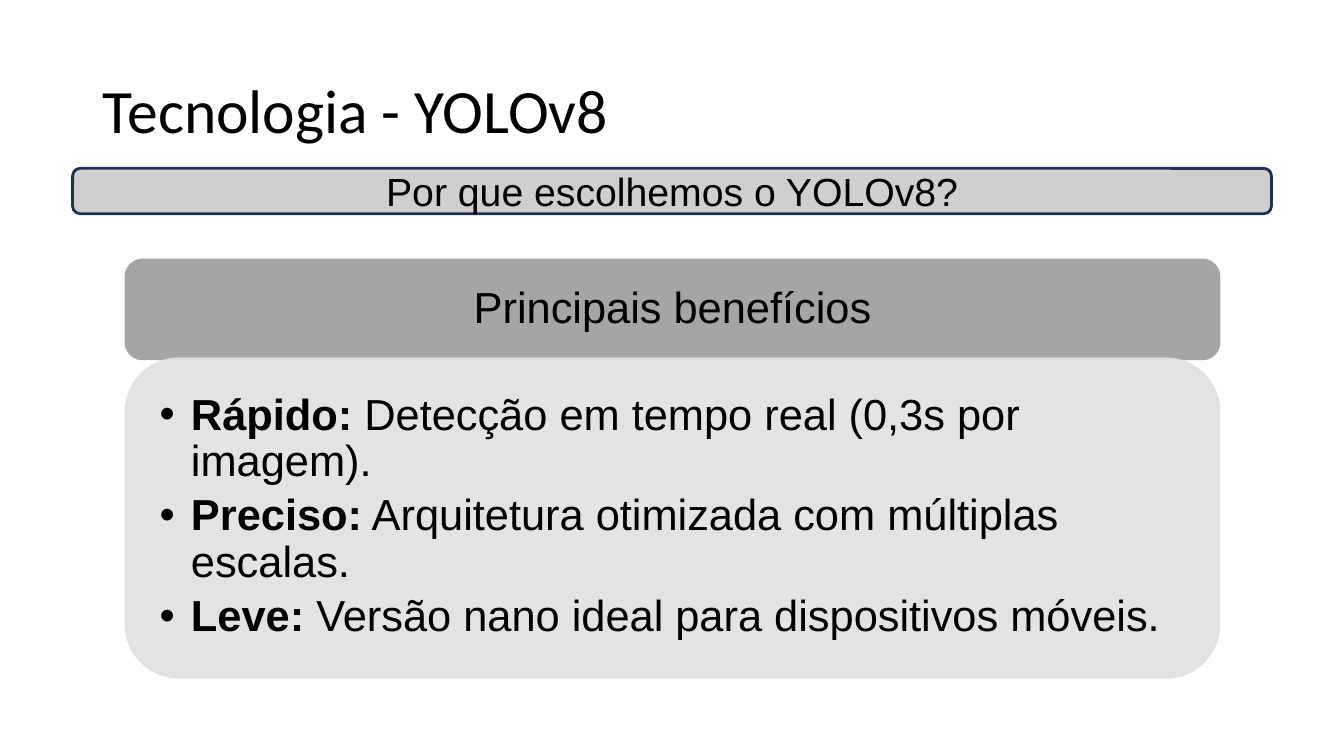
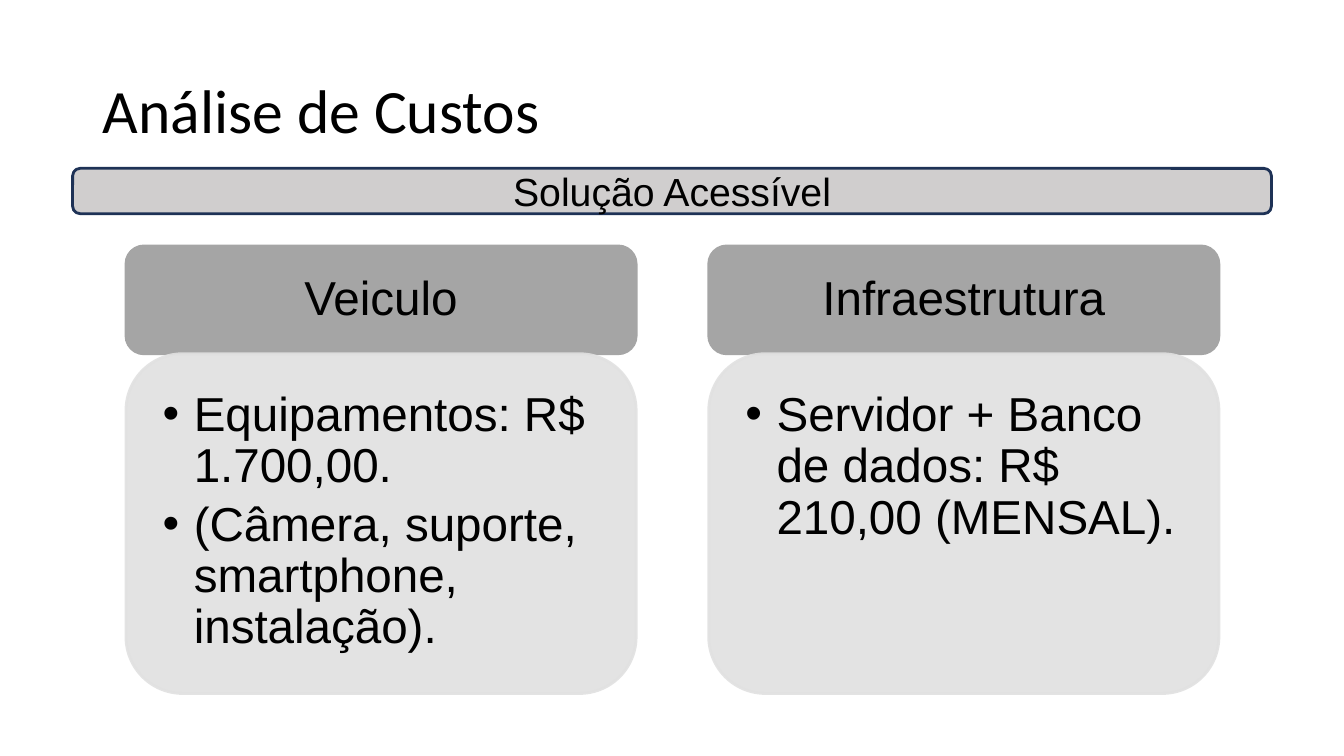
from lxml import etree
from pptx import Presentation
from pptx.dml.color import RGBColor
from pptx.enum import shapes, text
from pptx.oxml.ns import qn
from pptx.util import Inches, Pt

BLACK = RGBColor(0x00, 0x00, 0x00)
NAVY = RGBColor(0x1E, 0x32, 0x56)
BAND_GRAY = RGBColor(0xD0, 0xCE, 0xCE)
HEADER_GRAY = RGBColor(0xA5, 0xA5, 0xA5)
BODY_GRAY = RGBColor(0xE1, 0xE1, 0xE1)

TITLE_FONT, BODY_FONT = "Calibri", "Arial"
CARDS_LEFT, CARDS_WIDTH, CARD_GAP = 1.25, 10.84, 0.72
BULLET_INDENT = 0.31


def set_font(paragraph, name, size):
    paragraph.font.name = name
    paragraph.font.size = Pt(size)
    paragraph.font.color.rgb = BLACK


def set_opacity(color_format_parent, percent):
    """Make the solid fill below the given element partly see-through."""
    for color in color_format_parent.iter(qn("a:srgbClr")):
        etree.SubElement(color, qn("a:alpha")).set("val", str(percent * 1000))


def add_bullet(paragraph):
    properties = paragraph._p.get_or_add_pPr()
    properties.set("marL", str(Inches(BULLET_INDENT)))
    properties.set("indent", str(-Inches(BULLET_INDENT)))
    etree.SubElement(properties, qn("a:buFont")).set("typeface", "Arial")
    etree.SubElement(properties, qn("a:buChar")).set("char", "•")


def add_panel(slide, left, top, width, height, fill, outline):
    panel = slide.shapes.add_shape(
        shapes.MSO_SHAPE.ROUNDED_RECTANGLE,
        Inches(left), Inches(top), Inches(width), Inches(height))
    panel.shadow.inherit = False
    panel.fill.solid()
    panel.fill.fore_color.rgb = fill
    panel.line.color.rgb = outline
    panel.line.width = Pt(2)
    panel.text_frame.word_wrap = True
    return panel


def set_margins(frame, size, left, top, right, bottom):
    """Set the margins as multiples of the text size."""
    frame.margin_left, frame.margin_top = Pt(left * size), Pt(top * size)
    frame.margin_right, frame.margin_bottom = Pt(right * size), Pt(bottom * size)


def write_centered(panel, wording, size):
    panel.text_frame.vertical_anchor = text.MSO_ANCHOR.MIDDLE
    paragraph = panel.text_frame.paragraphs[0]
    paragraph.text = wording
    paragraph.alignment = text.PP_ALIGN.CENTER
    set_font(paragraph, BODY_FONT, size)
    return paragraph


def write_list(panel, items, size):
    """Write bullets from pairs of a bold lead and the remaining text."""
    frame = panel.text_frame
    frame.vertical_anchor = text.MSO_ANCHOR.TOP
    for index, (lead, rest) in enumerate(items):
        paragraph = frame.add_paragraph() if index else frame.paragraphs[0]
        paragraph.alignment = text.PP_ALIGN.LEFT
        paragraph.line_spacing = 0.9
        paragraph.space_after = Pt(round(0.15 * size))
        add_bullet(paragraph)
        set_font(paragraph, BODY_FONT, size)
        if lead:
            lead_run = paragraph.add_run()
            lead_run.text = lead
            lead_run.font.bold = True
        paragraph.add_run().text = rest


def add_cards(slide, cards, top, header_height, body_height, size):
    """Place equally wide cards side by side, each a header above a list."""
    width = (CARDS_WIDTH - CARD_GAP * (len(cards) - 1)) / len(cards)
    for column, (heading, items) in enumerate(cards):
        left = CARDS_LEFT + column * (width + CARD_GAP)
        header = add_panel(slide, left, top, width, header_height,
                           HEADER_GRAY, HEADER_GRAY)
        set_margins(header.text_frame, size, 0.56, 0.32, 0.56, 0.32)
        write_centered(header, heading, size).line_spacing = 0.9

        body = add_panel(slide, left, top + header_height, width, body_height,
                         BODY_GRAY, BODY_GRAY)
        set_opacity(body._element.spPr, 90)
        set_margins(body.text_frame, size, 0.42, 0.42, 0.56, 0.63)
        write_list(body, items, size)


def add_titled_slide(deck, heading, question):
    slide = deck.slides.add_slide(deck.slide_layouts[5])
    title = slide.shapes.title
    title.left, title.top = Inches(0.92), Inches(0.4)
    title.width, title.height = Inches(11.5), Inches(1.45)
    frame = title.text_frame
    frame.auto_size = text.MSO_AUTO_SIZE.NONE
    frame.vertical_anchor = text.MSO_ANCHOR.MIDDLE
    paragraph = frame.paragraphs[0]
    paragraph.text = heading
    paragraph.alignment = text.PP_ALIGN.LEFT
    paragraph.line_spacing = 0.9
    set_font(paragraph, TITLE_FONT, 44)

    band = add_panel(slide, 0.72, 1.67, 11.89, 0.45, BAND_GRAY, NAVY)
    write_centered(band, question, 28)
    return slide


def main():
    deck = Presentation()
    deck.slide_width, deck.slide_height = Inches(13.33), Inches(7.5)

    technology = add_titled_slide(
        deck, "Tecnologia - YOLOv8", "Por que escolhemos o YOLOv8?")
    benefits = [
        ("Rápido:", " Detecção em tempo real (0,3s por imagem)."),
        ("Preciso:", " Arquitetura otimizada com múltiplas escalas."),
        ("Leve:", " Versão nano ideal para dispositivos móveis."),
    ]
    add_cards(technology, [("Principais benefícios", benefits)],
              top=2.58, header_height=0.98, body_height=3.16, size=31)

    costs = add_titled_slide(deck, "Análise de Custos", "Solução Acessível")
    vehicle = [
        ("", "Equipamentos: R$ 1.700,00."),
        ("", "(Câmera, suporte, smartphone, instalação)."),
    ]
    infrastructure = [("", "Servidor + Banco de dados: R$ 210,00 (MENSAL).")]
    add_cards(costs, [("Veiculo", vehicle), ("Infraestrutura", infrastructure)],
              top=2.44, header_height=1.07, body_height=3.37, size=34)

    deck.save("out.pptx")


if __name__ == "__main__":
    main()
